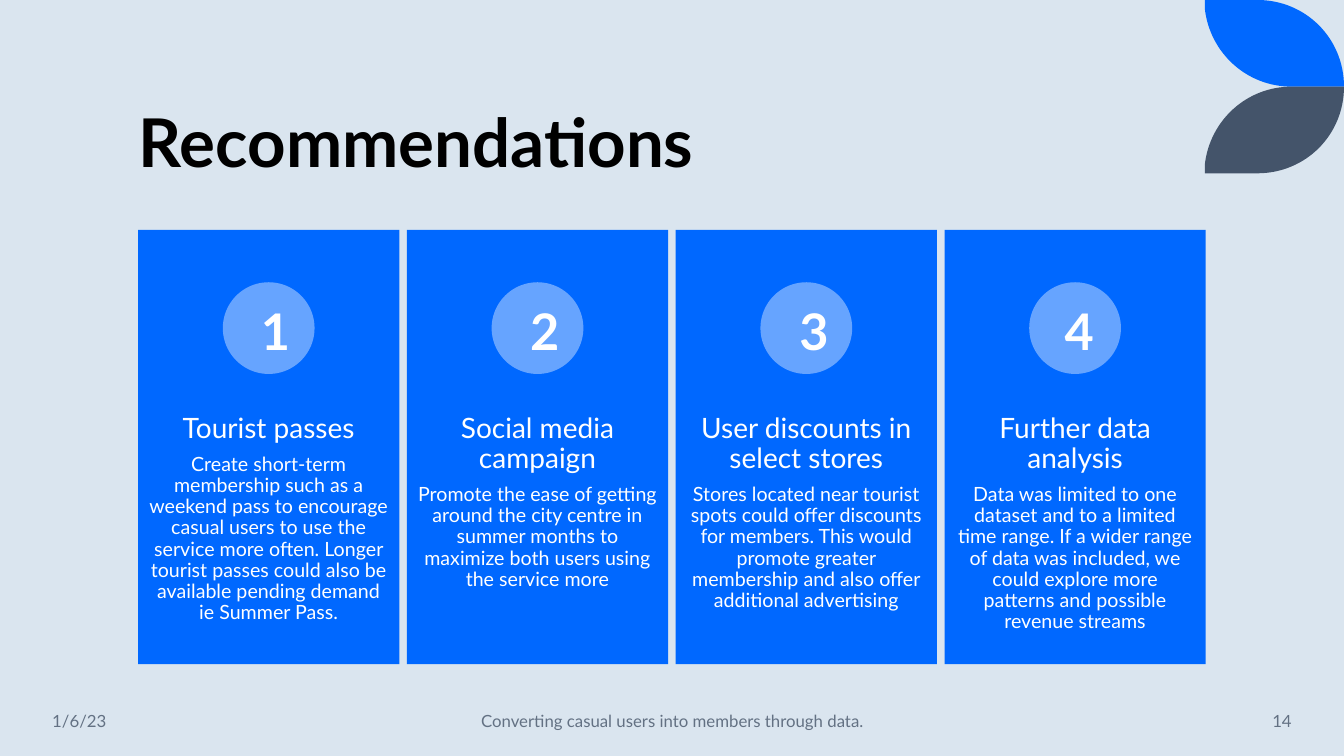
from lxml.etree import Element
from pptx import Presentation
from pptx.dml.color import RGBColor
from pptx.enum.shapes import MSO_SHAPE as Preset
from pptx.enum.text import MSO_ANCHOR as Anchor, PP_ALIGN as Align
from pptx.oxml.ns import qn
from pptx.util import Inches, Pt

WIDTH, HEIGHT = 13.33, 7.5
FONT = "Lato"
BLUE, LIGHT_BLUE, SLATE = "0068FF", "66A4FF", "44546A"
WHITE, BLACK, GREY, BACKGROUND = "FFFFFF", "000000", "637183", "DAE5EF"

GRID_LEFT, CARD_TOP = 1.37, 2.28
CARD_PITCH, CARD_WIDTH, CARD_HEIGHT = WIDTH / 5, 2.59, 4.31
CIRCLE = 0.91
LEAF_LEFT, LEAF_HEIGHT = 11.95, 0.86
LEAF_OUTLINE = [
    (0, 0), (0.52, 0),
    (1, 0), (1.38, 0.38), (1.38, 0.86),
    (0.86, 0.86),
    (0.41, 0.86), (0.05, 0.52), (0, 0.09),
]
LEAF_CURVES = (slice(1, 4), slice(5, 8))

CARDS = [
    ("Tourist passes", 2.49,
     "Create short-term membership such as a weekend pass to encourage casual "
     "users to use the service more often. Longer tourist passes could also be "
     "available pending demand ie Summer Pass."),
    ("Social media campaign", 5.16,
     "Promote the ease of getting around the city centre in summer months to "
     "maximize both users using the service more"),
    ("User discounts in select stores", 7.83,
     "Stores located near tourist spots could offer discounts for members. This "
     "would promote greater membership and also offer additional advertising"),
    ("Further data analysis", 10.46,
     "Data was limited to one dataset and to a limited time range. If a wider "
     "range of data was included, we could explore more patterns and possible "
     "revenue streams"),
]
FOOTERS = [
    ("1/6/23", 0.42, 1.86, Align.LEFT),
    ("Converting casual users into members through data.", 4.42, 4.5, Align.CENTER),
    ("14", 11.1, 1.81, Align.RIGHT),
]


def paint(fill, color):
    """Fill with one solid hex colour."""
    fill.solid()
    fill.fore_color.rgb = RGBColor.from_string(color)


def finish(shape, color):
    """Give a shape a flat fill without outline or shadow."""
    paint(shape.fill, color)
    shape.line.fill.background()
    shape.shadow.inherit = False


def add_block(slide, preset, box, color):
    """Add a flat preset shape."""
    finish(slide.shapes.add_shape(preset, *map(Inches, box)), color)


def add_frame(slide, box, anchor=Anchor.TOP, inset=(0.1, 0.05)):
    """Add a wrapping text box and return its text frame."""
    frame = slide.shapes.add_textbox(*map(Inches, box)).text_frame
    frame.word_wrap = True
    frame.vertical_anchor = anchor
    frame.margin_left = frame.margin_right = Inches(inset[0])
    frame.margin_top = frame.margin_bottom = Inches(inset[1])
    return frame


def write(paragraph, text, size, color, bold=False, align=Align.LEFT,
          spacing=1.0, after=0):
    """Write formatted text into a paragraph."""
    paragraph.alignment = align
    paragraph.line_spacing = spacing
    paragraph.space_after = Pt(after)
    run = paragraph.add_run()
    run.text = text
    run.font.name, run.font.size, run.font.bold = FONT, Pt(size), bold
    run.font.color.rgb = RGBColor.from_string(color)


def bend(shape, curves):
    """Turn each group of three straight segments into one cubic curve."""
    segments = list(shape.element.iter(qn("a:lnTo")))
    for group in curves:
        cubic = Element(qn("a:cubicBezTo"))
        segments[group][0].addprevious(cubic)
        for segment in segments[group]:
            cubic.append(segment[0])
            segment.getparent().remove(segment)


def add_leaf(slide, color, mirrored=False):
    """Add a corner leaf, optionally mirrored below the first one."""
    points = [(Inches(LEAF_LEFT + x), Inches(2 * LEAF_HEIGHT - y if mirrored else y))
              for x, y in LEAF_OUTLINE]
    builder = slide.shapes.build_freeform(*points[0])
    builder.add_line_segments(points[1:], close=True)
    leaf = builder.convert_to_shape()
    bend(leaf, LEAF_CURVES)
    finish(leaf, color)


def add_card(slide, column, heading, number_left, body):
    """Add a numbered recommendation card in a column."""
    left = GRID_LEFT + column * CARD_PITCH
    add_block(slide, Preset.RECTANGLE, (left, CARD_TOP, CARD_WIDTH, CARD_HEIGHT), BLUE)
    frame = add_frame(slide, (left, 4, CARD_WIDTH, 1.72), inset=(0.1, 0.11))
    write(frame.paragraphs[0], heading, 20, WHITE, align=Align.CENTER,
          spacing=0.9, after=7)
    write(frame.add_paragraph(), body, 14, WHITE, align=Align.CENTER, spacing=0.9)
    circle_left = left + (CARD_WIDTH - CIRCLE) / 2
    add_block(slide, Preset.OVAL, (circle_left, 2.8, CIRCLE, CIRCLE), LIGHT_BLUE)
    number = add_frame(slide, (number_left, 2.93, 0.38, 0.71))
    write(number.paragraphs[0], str(column + 1), 36, WHITE, bold=True,
          align=Align.CENTER)


def main():
    """Build and save the recommendations slide."""
    presentation = Presentation()
    presentation.slide_width, presentation.slide_height = Inches(WIDTH), Inches(HEIGHT)
    slide = presentation.slides.add_slide(presentation.slide_layouts[6])
    paint(slide.background.fill, BACKGROUND)
    add_leaf(slide, BLUE)
    add_leaf(slide, SLATE, mirrored=True)
    title = add_frame(slide, (1.28, 0.41, 10.69, 1.45), Anchor.BOTTOM)
    write(title.paragraphs[0], "Recommendations", 48, BLACK, bold=True, spacing=0.9)
    for column, card in enumerate(CARDS):
        add_card(slide, column, *card)
    for text, left, width, align in FOOTERS:
        footer = add_frame(slide, (left, 6.95, width, 0.4), Anchor.MIDDLE)
        write(footer.paragraphs[0], text, 12, GREY, align=align)
    presentation.save("out.pptx")


main()
